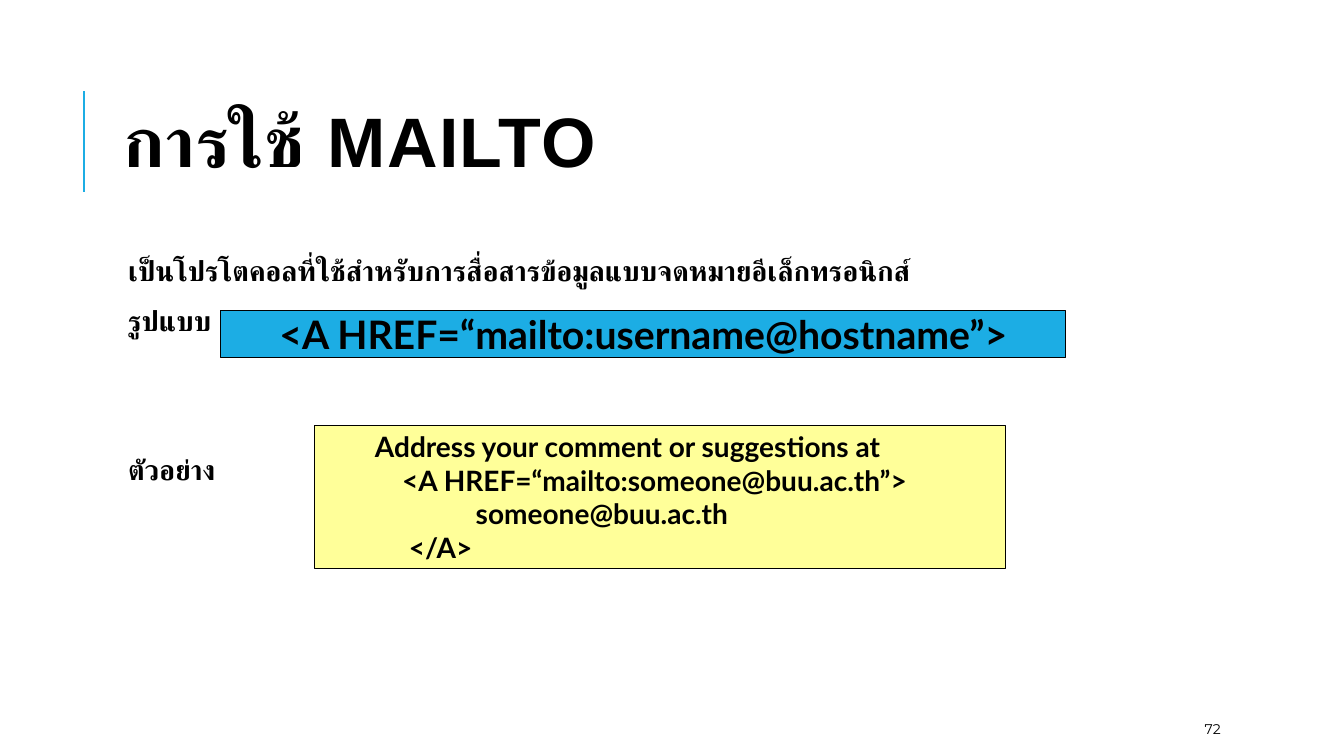
"""Build the slide on the mailto protocol."""
from lxml import etree
from pptx import Presentation
from pptx.dml.color import RGBColor
from pptx.enum.shapes import MSO_CONNECTOR, MSO_SHAPE
from pptx.enum.text import MSO_ANCHOR, MSO_AUTO_SIZE, PP_ALIGN
from pptx.oxml.ns import qn
from pptx.util import Inches, Pt

HUES = {"ink": "000000", "blue": "1CADE4", "yellow": "FFFF99"}


def place(shape, left, top, width, height):
    shape.left, shape.top = Inches(left), Inches(top)
    shape.width, shape.height = Inches(width), Inches(height)


def write(shape, text, size, face, bold=True, indent=0, align=PP_ALIGN.LEFT, anchor=MSO_ANCHOR.MIDDLE):
    frame = shape.text_frame
    frame.text = text
    frame.word_wrap = True
    frame.auto_size = MSO_AUTO_SIZE.NONE
    frame.vertical_anchor = anchor
    for para in frame.paragraphs:
        props = para._p.get_or_add_pPr()
        props.set("marL", str(Inches(indent)))
        props.set("indent", "0")
        etree.SubElement(props, qn("a:buNone"))
        para.alignment = align
        para.space_before = Pt(0)
        for run in para.runs:
            run.font.size = Pt(size)
            run.font.name = face
            run.font.bold = bold
            run.font.color.rgb = RGBColor.from_string(HUES["ink"])
    return frame


deck = Presentation()
deck.slide_width, deck.slide_height = Inches(13.33), Inches(7.5)
slide = deck.slides.add_slide(deck.slide_layouts[1])
shapes = slide.shapes

rule = shapes.add_connector(MSO_CONNECTOR.STRAIGHT, Inches(0.83), Inches(1.9), Inches(0.83), Inches(0.9))
rule.line.color.rgb = RGBColor.from_string(HUES["blue"])
rule.line.width = Pt(1.5)
etree.SubElement(rule._element.spPr, qn("a:effectLst"))

title = shapes.title
place(title, 1.12, 0.64, 10.63, 1.64)
head = write(title, "การใช้ MAILTO", 50, "Arial").paragraphs[0]
head.line_spacing = 0.8
head.runs[0].font._element.set("spc", "100")

body = slide.placeholders[1]
place(body, 1.12, 2.5, 10.63, 4.4)
points = "\n".join([
    "เป็นโปรโตคอลที่ใช้สำหรับการสื่อสารข้อมูลแบบจดหมายอีเล็กทรอนิกส์",
    "รูปแบบ",
    "ตัวอย่าง",
])
frame = write(body, points, 20, "Lato", indent=0.1, anchor=MSO_ANCHOR.TOP)
frame.margin_left = frame.margin_right = Inches(0.05)
frame.margin_top = frame.margin_bottom = Inches(0.05)
for para, gap in zip(frame.paragraphs, (0, 12, 83)):
    para.line_spacing = 0.9
    para.space_before = Pt(gap)
    para.space_after = Pt(2)

number = shapes.add_textbox(Inches(11.85), Inches(7.08), Inches(1.06), Inches(0.3))
write(number, "72", 10, "Montserrat", bold=False)

sample = "\n".join([
    "Address your comment or suggestions at",
    "    <A HREF=“mailto:someone@buu.ac.th”>",
    "\t\tsomeone@buu.ac.th",
    "     </A>",
])
boxes = [
    ((2.19, 3.08, 8.38, 0.47), "blue", "<A HREF=“mailto:username@hostname”>", 28, 0, PP_ALIGN.CENTER),
    ((3.12, 4.22, 6.85, 1.42), "yellow", sample, 20, 0.5, PP_ALIGN.LEFT),
]
for area, hue, code, size, indent, align in boxes:
    box = shapes.add_shape(MSO_SHAPE.RECTANGLE, *map(Inches, area))
    box.shadow.inherit = False
    box.fill.solid()
    box.fill.fore_color.rgb = RGBColor.from_string(HUES[hue])
    box.line.color.rgb = RGBColor.from_string(HUES["ink"])
    box.line.width = Pt(0.75)
    write(box, code, size, "Lato", indent=indent, align=align)

deck.save("out.pptx")
